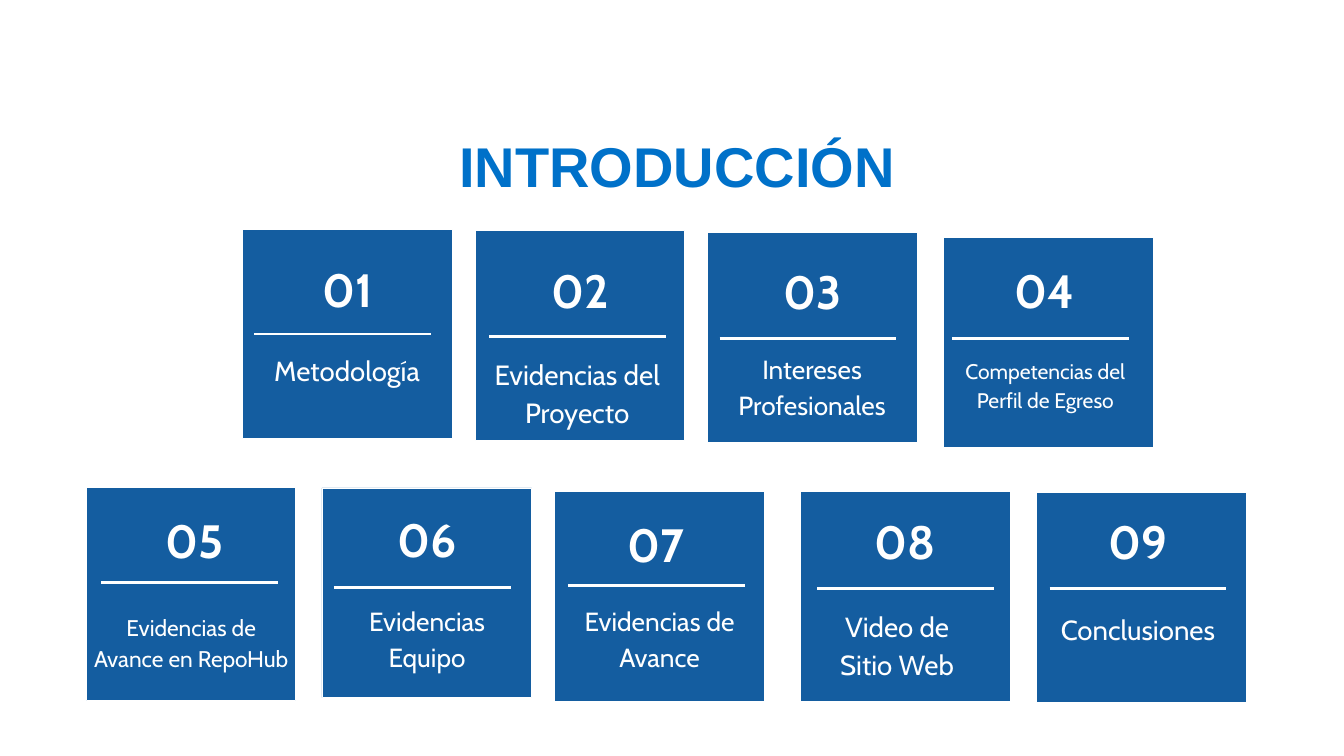
from collections import namedtuple

from pptx import Presentation
from pptx.dml.color import RGBColor
from pptx.enum.shapes import MSO_CONNECTOR, MSO_SHAPE
from pptx.enum.text import MSO_ANCHOR, MSO_AUTO_SIZE, PP_ALIGN
from pptx.oxml.ns import qn
from pptx.util import Emu, Pt
from lxml.etree import SubElement

PX = 9144
COLORS = {"title": "0071C9", "card": "145DA0", "white": "FFFFFF"}
CARD_SIDE = 312
RULE_WIDTH = 263
NUMBER_SIZE = (202, 93)
LEADING = 1.38

Card = namedtuple("Card", "corner rule number caption_box caption size height", defaults=[CARD_SIDE])

CARDS = [
    Card((361, 341), (378, 497), (416, 376), (378, 520, 277, 53), "Metodología", 29.6),
    Card((707, 343), (728, 501), (762, 377), (724, 525, 270, 111), "Evidencias del Proyecto", 29.8),
    Card((1053, 346), (1071, 504), (1108, 378), (1077, 519, 263, 105), "Intereses Profesionales", 28.1),
    Card((1404, 353), (1417, 504), (1454, 377), (1417, 527, 277, 84),
         "Competencias del Perfil de Egreso", 22.6),
    Card((128, 726), (151, 867), (188, 749), (134, 907, 301, 90),
         "Evidencias de Avance en RepoHub", 24.3, 317),
    Card((479, 726), (497, 874), (534, 748), (497, 893, 277, 105), "Evidencias Equipo", 28.1),
    Card((825, 731), (845, 871), (875, 755), (843, 893, 277, 105), "Evidencias de Avance", 28.1),
    Card((1191, 731), (1216, 876), (1246, 751), (1172, 900, 326, 110), "Video de\nSitio Web", 29.6),
    Card((1542, 733), (1562, 876), (1592, 751), (1555, 904, 277, 54), "Conclusiones", 29.6),
]


def px(*lengths):
    return [Emu(length * PX) for length in lengths]


def rgb(name):
    return RGBColor.from_string(COLORS[name])


def write(box, text, size, font_name, color, bold=False, leading=LEADING):
    frame = box.text_frame
    frame.text = text
    frame.word_wrap = True
    frame.auto_size = MSO_AUTO_SIZE.SHAPE_TO_FIT_TEXT
    frame.vertical_anchor = MSO_ANCHOR.TOP
    frame.margin_left = frame.margin_top = frame.margin_right = frame.margin_bottom = 0
    for paragraph in frame.paragraphs:
        paragraph.alignment = PP_ALIGN.CENTER
        paragraph.line_spacing = Pt(round(size * leading, 1))
        paragraph.space_before = Pt(0)
        font = paragraph.font
        font.name, font.size, font.bold = font_name, Pt(size), bold
        font.color.rgb = rgb(color)


def add_title(slide):
    title = slide.shapes.title
    title.left, title.top, title.width, title.height = px(481, 195, 1150, 101)
    write(title, "INTRODUCCIÓN", 60, "Arial", "title", bold=True, leading=1.2)
    title.text_frame.margin_right = Emu(97 * PX)


def add_square(slide, card):
    square = slide.shapes.add_shape(MSO_SHAPE.RECTANGLE, *px(*card.corner, CARD_SIDE, card.height))
    square.shadow.inherit = False
    square.fill.solid()
    square.fill.fore_color.rgb = rgb("card")
    square.line.color.rgb = rgb("white")
    square.line.width = Pt(0.75)


def add_rule(slide, left, top):
    rule = slide.shapes.add_connector(MSO_CONNECTOR.STRAIGHT, *px(left, top, left + RULE_WIDTH, top))
    rule.line.color.rgb = rgb("white")
    rule.line.width = Pt(3)
    SubElement(rule._element.spPr, qn("a:effectLst"))


def add_label(slide, place, text, size, bold=False):
    label = slide.shapes.add_textbox(*px(*place))
    write(label, text, size, "Cabin", "white", bold)


def add_card(slide, index, card):
    add_square(slide, card)
    add_rule(slide, *card.rule)
    add_label(slide, card.number + NUMBER_SIZE, f"{index:02d}", 50, bold=True)
    add_label(slide, card.caption_box, card.caption, card.size)


def main():
    presentation = Presentation()
    presentation.slide_width, presentation.slide_height = px(2000, 1125)
    slide = presentation.slides.add_slide(presentation.slide_layouts[5])
    add_title(slide)
    for index, card in enumerate(CARDS, start=1):
        add_card(slide, index, card)
    presentation.save("out.pptx")


if __name__ == "__main__":
    main()
